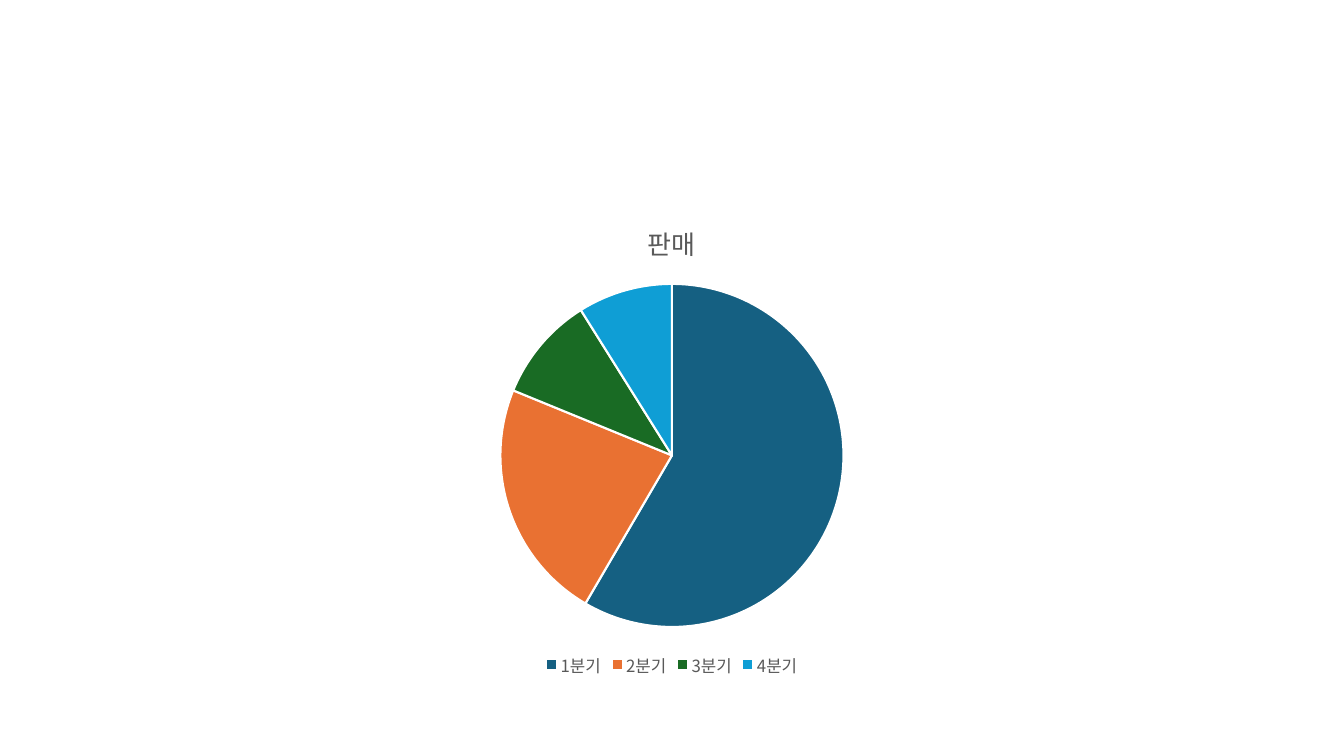
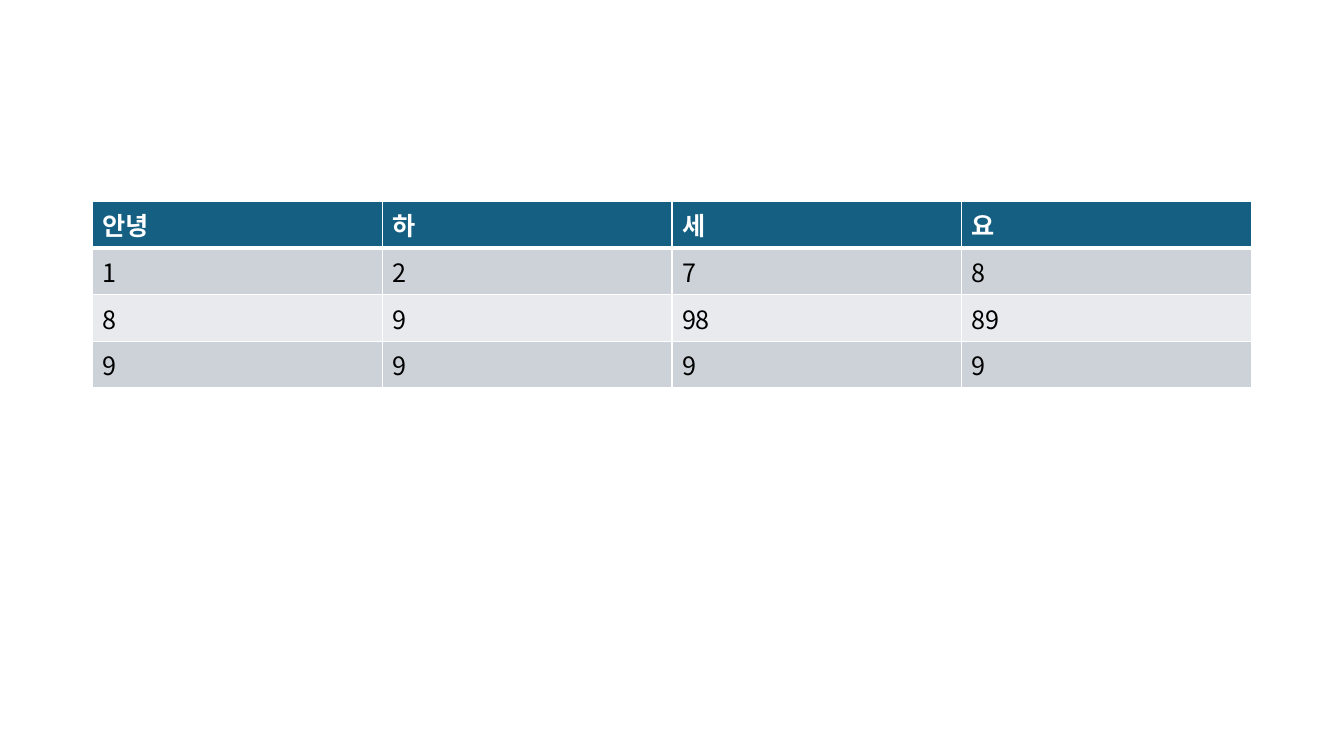
from dataclasses import dataclass

from pptx import Presentation
from pptx import util as u
from pptx.chart import data as chart_data
from pptx.dml import color
from pptx.enum import chart as charts
from pptx.oxml import ns, xmlchemy

EMU_PER_PX = 9525


@dataclass(frozen=True)
class Theme:
    """Colours, font and type sizes of the presentation."""

    font: str = "Noto Sans CJK KR"
    white: str = "FFFFFF"
    black: str = "000000"
    grey: str = "595959"
    header: str = "156082"
    bands: tuple = ("CCD2D8", "E8EAED")
    slices: tuple = ("156082", "E97132", "196B24", "0F9ED5")
    chart_size: float = 10
    title_size: float = 18.6
    legend_size: float = 12
    table_size: float = 18
    border: float = 1
    header_border: float = 3
    slice_border: float = 1.5


def px(length):
    """Turn pixels into EMU."""
    return u.Emu(length * EMU_PER_PX)


def rgb(value):
    """Turn a hex string into a colour."""
    return color.RGBColor.from_string(value)


class Deck:
    """Holds the presentation, its style and the current slide."""

    def __init__(self, theme, width, height):
        """Start an empty presentation of the given size."""
        self.theme = theme
        self.presentation = Presentation()
        self.presentation.slide_width = px(width)
        self.presentation.slide_height = px(height)
        self.slide = None

    def add_slide(self):
        """Make a new blank slide the current one."""
        self.slide = self.presentation.slides.add_slide(self.presentation.slide_layouts[6])

    def style_font(self, font, size, fill, bold=False):
        """Apply the theme font with a size, colour and weight."""
        font.name = self.theme.font
        font.size = u.Pt(size)
        font.bold = bold
        font.color.rgb = rgb(fill)

    def use_font_for_korean(self, element):
        """Give East Asian characters the theme font as well."""
        for latin in list(element.iter(ns.qn("a:latin"))):
            east_asian = xmlchemy.OxmlElement("a:ea")
            east_asian.set("typeface", self.theme.font)
            latin.addnext(east_asian)

    def add_pie(self, left, top, width, height, title, values):
        """Draw a titled pie chart with a legend below it."""
        theme = self.theme
        data = chart_data.CategoryChartData()
        data.categories = list(values)
        data.add_series(title, list(values.values()))
        chart = self.slide.shapes.add_chart(
            charts.XL_CHART_TYPE.PIE, px(left), px(top), px(width), px(height), data
        ).chart
        self.style_font(chart.font, theme.chart_size, theme.black)

        chart.has_title = True
        chart.chart_title.include_in_layout = False
        frame = chart.chart_title.text_frame
        frame.text = title
        self.style_font(frame.paragraphs[0].runs[0].font, theme.title_size, theme.grey)

        chart.has_legend = True
        chart.legend.position = charts.XL_LEGEND_POSITION.BOTTOM
        chart.legend.include_in_layout = False
        self.style_font(chart.legend.font, theme.legend_size, theme.grey)

        plot = chart.plots[0]
        plot.vary_by_categories = True
        for index, fill in enumerate(theme.slices):
            slice_format = plot.series[0].points[index].format
            slice_format.fill.solid()
            slice_format.fill.fore_color.rgb = rgb(fill)
            slice_format.line.color.rgb = rgb(theme.white)
            slice_format.line.width = u.Pt(theme.slice_border)
        self.use_font_for_korean(chart.element)

    def add_table(self, left, top, column_width, row_height, rows):
        """Draw a table with a dark header and banded rows."""
        theme = self.theme
        columns = len(rows[0])
        frame = self.slide.shapes.add_table(
            len(rows), columns, px(left), px(top),
            px(column_width * columns), px(row_height * len(rows)),
        )
        for row_index, row in enumerate(rows):
            is_header = row_index == 0
            fill = theme.header if is_header else theme.bands[(row_index - 1) % 2]
            top_width = theme.header_border if row_index == 1 else theme.border
            bottom_width = theme.header_border if is_header else theme.border
            for column_index, words in enumerate(row):
                cell = frame.table.cell(row_index, column_index)
                cell.text_frame.text = words
                self.style_font(
                    cell.text_frame.paragraphs[0].runs[0].font, theme.table_size,
                    theme.white if is_header else theme.black, is_header,
                )
                cell.fill.solid()
                cell.fill.fore_color.rgb = rgb(fill)
                self.add_borders(cell, top_width, bottom_width)
        self.use_font_for_korean(frame.element)

    def add_borders(self, cell, top_width, bottom_width):
        """Draw white lines on all four sides of a cell."""
        side = self.theme.border
        widths = {"a:lnL": side, "a:lnR": side, "a:lnT": top_width, "a:lnB": bottom_width}
        properties = cell._tc.get_or_add_tcPr()
        for index, (tag, width) in enumerate(widths.items()):
            line = xmlchemy.OxmlElement(tag)
            line.set("w", str(u.Pt(width)))
            fill = xmlchemy.OxmlElement("a:solidFill")
            fill_color = xmlchemy.OxmlElement("a:srgbClr")
            fill_color.set("val", self.theme.white)
            fill.append(fill_color)
            line.append(fill)
            properties.insert(index, line)


def main():
    """Build both slides and save them."""
    deck = Deck(Theme(), 1280, 720)
    left, top = 88, 192

    deck.add_slide()
    sales = {"1분기": 59, "2분기": 23, "3분기": 10, "4분기": 9}
    deck.add_pie(left, top, 1104, 457, "판매", sales)

    deck.add_slide()
    rows = [
        ("안녕", "하", "세", "요"),
        ("1", "2", "7", "8"),
        ("8", "9", "98", "89"),
        ("9", "9", "9", "9"),
    ]
    deck.add_table(left, top, 276, 39, rows)

    deck.presentation.save("out.pptx")


if __name__ == "__main__":
    main()
